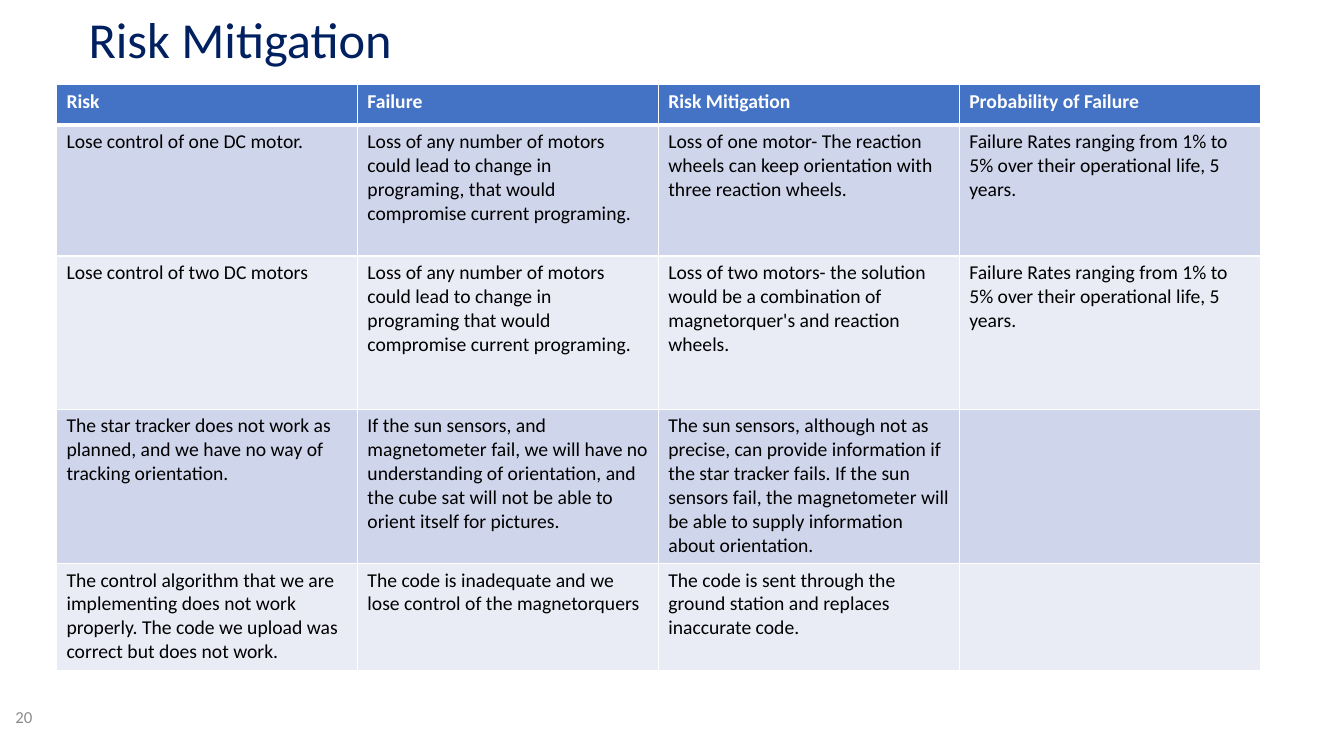
from lxml import etree
from pptx import Presentation
from pptx.dml.color import RGBColor
from pptx.enum.text import MSO_ANCHOR, PP_ALIGN
from pptx.oxml.ns import qn
from pptx.util import Inches, Pt

NAVY = RGBColor(0x00, 0x20, 0x60)
BLUE = RGBColor(0x44, 0x72, 0xC4)
BAND_DARK = RGBColor(0xCF, 0xD5, 0xEA)
BAND_LIGHT = RGBColor(0xE9, 0xEB, 0xF5)
GRAY = RGBColor(0x8C, 0x8C, 0x8C)
BLACK = RGBColor(0x00, 0x00, 0x00)
WHITE = RGBColor(0xFF, 0xFF, 0xFF)

ROW_HEIGHTS = [0.4, 1.3, 1.52, 1.53, 1.06]
RATES = "Failure Rates ranging from 1% to 5% over their operational life, 5 years."
RISKS = [
    ["Risk", "Failure", "Risk Mitigation", "Probability of Failure"],
    ["Lose control of one DC motor.",
     "Loss of any number of motors could lead to change in programing, that "
     "would compromise current programing.",
     "Loss of one motor- The reaction wheels can keep orientation with three "
     "reaction wheels.",
     RATES],
    ["Lose control of two DC motors",
     "Loss of any number of motors could lead to change in programing that "
     "would compromise current programing.",
     "Loss of two motors- the solution would be a combination of magnetorquer's "
     "and reaction wheels.",
     RATES],
    ["The star tracker does not work as planned, and we have no way of tracking "
     "orientation.",
     "If the sun sensors, and magnetometer fail, we will have no understanding of "
     "orientation, and the cube sat will not be able to orient itself for pictures.",
     "The sun sensors, although not as precise, can provide information if the star "
     "tracker fails. If the sun sensors fail, the magnetometer will be able to supply "
     "information about orientation.",
     ""],
    ["The control algorithm that we are implementing does not work properly. The code "
     "we upload was correct but does not work.",
     "The code is inadequate and we lose control of the magnetorquers",
     "The code is sent through the ground station and replaces inaccurate code.",
     ""],
]


def write_text(frame, text, size=14, color=BLACK, bold=False,
               align=PP_ALIGN.LEFT, spacing=1.0):
    frame.word_wrap = True
    para = frame.paragraphs[0]
    para.alignment = align
    para.line_spacing = spacing
    para.font.size = Pt(size)
    if text:
        span = para.add_run()
        span.text = text
        span.font.name = "Calibri"
        span.font.size = Pt(size)
        span.font.bold = bold
        span.font.color.rgb = color


def add_label(page, box, text, **text_format):
    frame = page.shapes.add_textbox(*map(Inches, box)).text_frame
    frame.vertical_anchor = MSO_ANCHOR.MIDDLE
    write_text(frame, text, **text_format)


def set_borders(cell, widths):
    """Draw white borders; widths maps each side's tag to points."""
    properties = cell._tc.get_or_add_tcPr()
    for position, (side, width) in enumerate(widths.items()):
        line = etree.Element(qn(f"a:{side}"), w=str(Pt(width)))
        fill = etree.SubElement(line, qn("a:solidFill"))
        etree.SubElement(fill, qn("a:srgbClr"), val=str(WHITE))
        properties.insert(position, line)


def add_risk_table(page, box):
    left, top, width = box
    columns = len(RISKS[0])
    table = page.shapes.add_table(
        len(RISKS), columns, Inches(left), Inches(top),
        Inches(width), Inches(sum(ROW_HEIGHTS))).table
    for column in table.columns:
        column.width = Inches(width / columns)
    for r, (texts, height) in enumerate(zip(RISKS, ROW_HEIGHTS)):
        table.rows[r].height = Inches(height)
        header = r == 0
        band = BLUE if header else BAND_DARK if r % 2 else BAND_LIGHT
        for c, text in enumerate(texts):
            cell = table.cell(r, c)
            cell.fill.solid()
            cell.fill.fore_color.rgb = band
            # The rule under the header is heavier than the grid
            set_borders(cell, {"lnL": 1, "lnR": 1, "lnT": 3 if r == 1 else 1,
                               "lnB": 3 if header else 1})
            write_text(cell.text_frame, text, bold=header,
                       color=WHITE if header else BLACK)


def main():
    deck = Presentation()
    deck.slide_width, deck.slide_height = Inches(13.33), Inches(7.5)
    page = deck.slides.add_slide(deck.slide_layouts[6])

    # Title
    add_label(page, (0.78, 0, 6.55, 0.84), "Risk Mitigation",
              size=36, color=NAVY, spacing=0.9)
    # Risk table
    add_risk_table(page, (0.56, 0.84, 11.94))
    # Page number
    add_label(page, (0, 6.92, 0.42, 0.38), "20",
              size=12, color=GRAY, align=PP_ALIGN.RIGHT)

    deck.save("out.pptx")


if __name__ == "__main__":
    main()
